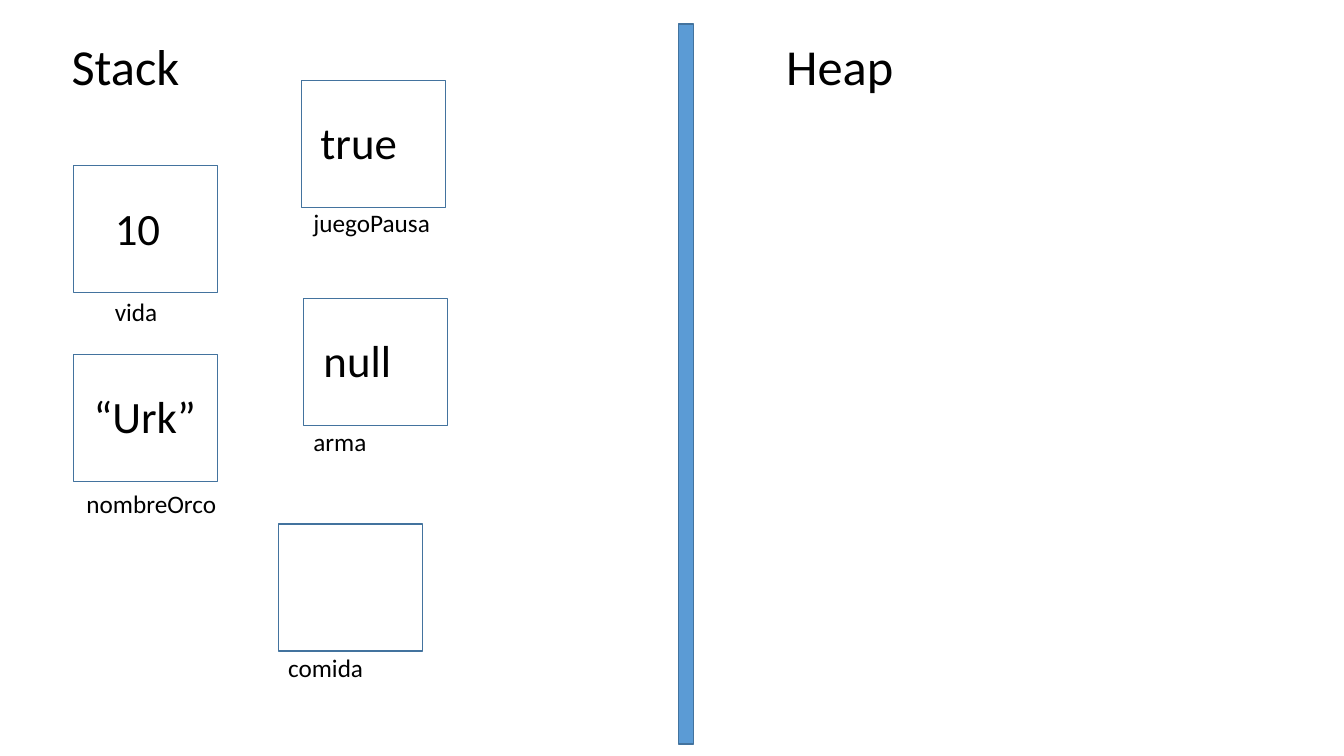
import dataclasses

import pptx
import pptx.dml.color
import pptx.enum.shapes
import pptx.enum.text
import pptx.util

PX = 9144  # EMU per px, 100 px to the inch
FONT = "Calibri"
HEX = {"text": "000000", "bar": "5B9BD5", "edge": "43739E"}
BOX_W, BOX_H = 143, 126
HEAD_TOP, HEAD_W, HEAD_H = 30, 196, 71


@dataclasses.dataclass(frozen=True)
class Label:
    text: str
    left: int
    top: int
    width: int
    height: int
    size: int


@dataclasses.dataclass(frozen=True)
class Slot:
    """A variable on the stack: its box, its name and its value, if any."""
    left: int
    top: int
    name: Label
    value: Label | None = None


def head(text: str, left: int) -> Label:
    return Label(text, left, HEAD_TOP, HEAD_W, HEAD_H, 36)


def name(text: str, left: int, top: int, width: int = 166) -> Label:
    return Label(text, left, top, width, 40, 18)


def value(text: str, left: int, top: int, width: int = 138) -> Label:
    return Label(text, left, top, width, 64, 32)


STACK = head("Stack", 61)
HEAP = head("Heap", 770)
SLOTS = [
    Slot(73, 164, name("vida", 104, 289, 84), value("10", 104, 194, 84)),
    Slot(73, 352, name("nombreOrco", 76, 480), value("“Urk”", 83, 381)),
    Slot(299, 80, name("juegoPausa", 301, 201, 162), value("true", 308, 109)),
    Slot(301, 296, name("arma", 301, 418), value("null", 311, 325)),
    Slot(276, 520, name("comida", 276, 642)),
]


def color(key: str) -> pptx.dml.color.RGBColor:
    return pptx.dml.color.RGBColor.from_string(HEX[key])


def write(shape, label: Label) -> None:
    """Place a text shape and fill it with the label's text."""
    shape.left, shape.top = label.left * PX, label.top * PX
    shape.width, shape.height = label.width * PX, label.height * PX
    frame = shape.text_frame
    frame.word_wrap = True
    frame.auto_size = pptx.enum.text.MSO_AUTO_SIZE.SHAPE_TO_FIT_TEXT
    frame.vertical_anchor = pptx.enum.text.MSO_ANCHOR.TOP
    para = frame.paragraphs[0]
    para.alignment = pptx.enum.text.PP_ALIGN.LEFT
    run = para.add_run()
    run.text = label.text
    run.font.name = FONT
    run.font.size = pptx.util.Pt(label.size)
    run.font.color.rgb = color("text")


def add_text(slide, label: Label) -> None:
    write(slide.shapes.add_textbox(0, 0, PX, PX), label)


def add_rect(slide, left: int, top: int, width: int, height: int,
             fill: str | None = None) -> None:
    rect = slide.shapes.add_shape(
        pptx.enum.shapes.MSO_SHAPE.RECTANGLE,
        left * PX, top * PX, width * PX, height * PX)
    rect.shadow.inherit = False
    if fill:
        rect.fill.solid()
        rect.fill.fore_color.rgb = color(fill)
    else:
        rect.fill.background()
    rect.line.color.rgb = color("edge")
    rect.line.width = pptx.util.Pt(1)


def add_slot(slide, slot: Slot) -> None:
    add_rect(slide, slot.left, slot.top, BOX_W, BOX_H)
    add_text(slide, slot.name)
    if slot.value:
        add_text(slide, slot.value)


def main() -> None:
    deck = pptx.Presentation()
    deck.slide_width, deck.slide_height = 1333 * PX, 750 * PX
    slide = deck.slides.add_slide(deck.slide_layouts.get_by_name("Title Only"))
    write(slide.shapes.title, STACK)
    add_rect(slide, 673, 24, 15, 714, "bar")
    add_text(slide, HEAP)
    for slot in SLOTS:
        add_slot(slide, slot)
    deck.save("out.pptx")


if __name__ == "__main__":
    main()
